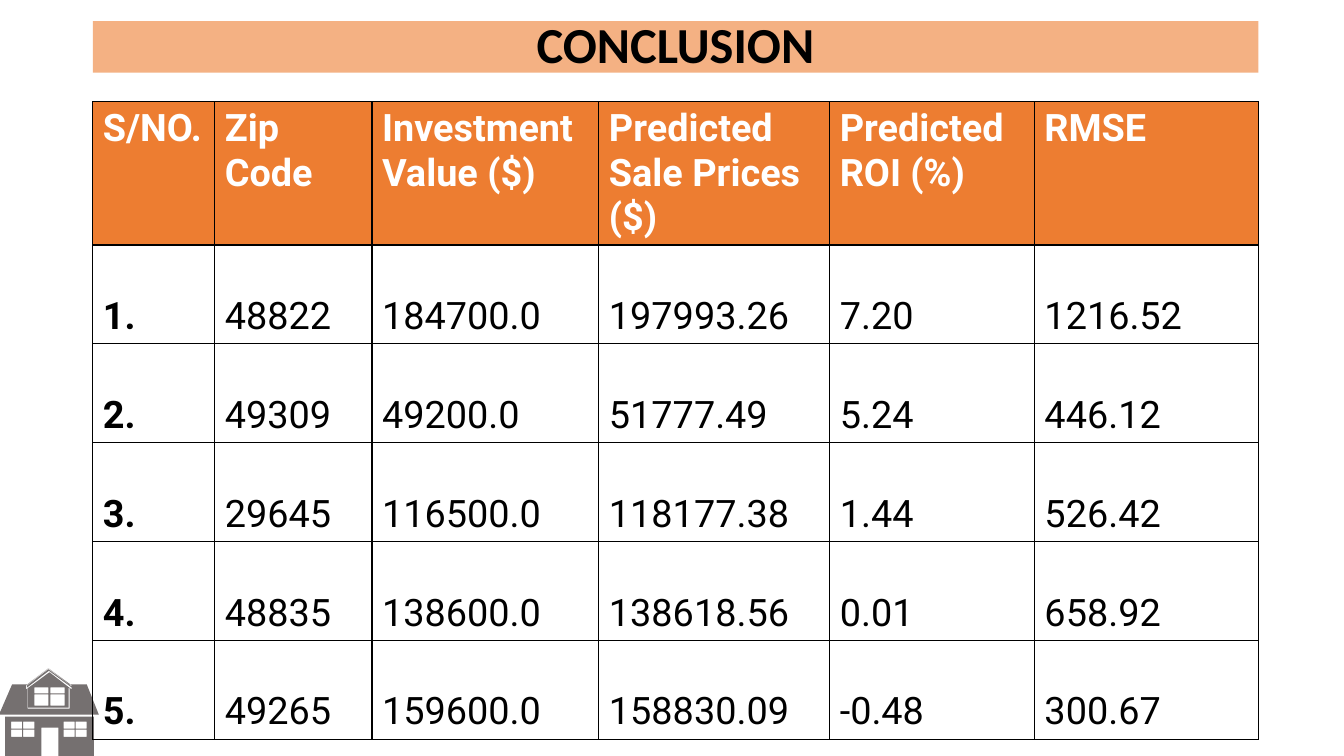
from lxml.etree import SubElement
from pptx import Presentation
from pptx.dml.color import RGBColor
from pptx.enum.text import MSO_ANCHOR as Anchor, MSO_AUTO_SIZE as AutoSize, PP_ALIGN as Align
from pptx.oxml.ns import qn
from pptx.util import Inches, Pt

BLACK = RGBColor(0x00, 0x00, 0x00)
WHITE = RGBColor(0xFF, 0xFF, 0xFF)
PEACH = RGBColor(0xF4, 0xB1, 0x83)
ORANGE = RGBColor(0xED, 0x7D, 0x31)
GREY = RGBColor(0x75, 0x70, 0x70)

COLUMN_WIDTHS = [1.21, 1.56, 2.25, 2.29, 2.03, 2.22]
HEADER_HEIGHT, ROW_HEIGHT = 1.42, 0.98
FORECASTS = [
    ["S/NO.", "Zip Code", "Investment Value ($)", "Predicted Sale Prices ($)",
     "Predicted ROI (%)", "RMSE"],
    ["1.", "48822", "184700.0", "197993.26", "7.20", "1216.52"],
    ["2.", "49309", "49200.0", "51777.49", "5.24", "446.12"],
    ["3.", "29645", "116500.0", "118177.38", "1.44", "526.42"],
    ["4.", "48835", "138600.0", "138618.56", "0.01", "658.92"],
    ["5.", "49265", "159600.0", "158830.09", "-0.48", "300.67"],
]


def pane(left, top, right, bottom):
    """Return the corners of a window pane."""
    return [(left, top), (left, bottom), (right, bottom), (right, top)]


ROOF = [(0.48, 6.63), (0.69, 6.79), (0.86, 6.79), (0.98, 7.09), (-0.01, 7.09),
        (0.12, 6.79), (0.27, 6.79)]
WALLS = [(0.05, 7.11), (0.93, 7.11), (0.93, 7.5), (0.58, 7.5), (0.58, 7.22),
         (0.41, 7.22), (0.41, 7.5), (0.05, 7.5)]
GABLE_GAP = [(0.48, 6.63), (0.26, 6.8), (0.26, 6.84), (0.49, 6.67), (0.71, 6.84),
             (0.71, 6.8)]
GABLE_TRIM = [(0.48, 6.64), (0.71, 6.81), (0.71, 6.82), (0.485, 6.655), (0.27, 6.82),
              (0.27, 6.8)]
DORMER_FRAME = [(0.68, 6.82), (0.68, 7.02), (0.28, 7.02), (0.28, 6.82), (0.275, 6.83),
                (0.275, 7.03), (0.69, 7.03), (0.69, 6.83)]
DORMER_PANES = [pane(left, top, left + 0.14, bottom)
                for left in (0.34, 0.5) for top, bottom in ((6.82, 6.88), (6.89, 7.0))]
WALL_PANES = [pane(left, top, left + 0.11, top + 0.07)
              for left in (0.11, 0.23, 0.63, 0.75) for top in (7.16, 7.24)]
HOUSE = [ROOF, WALLS, GABLE_GAP, GABLE_TRIM, DORMER_FRAME, *DORMER_PANES, *WALL_PANES]


class ConclusionSlide:
    """Hold the fonts and the current slide, and draw its elements."""

    title_font, table_font = "Calibri", "Roboto"

    def __init__(self, deck):
        self.slide = deck.slides.add_slide(deck.slide_layouts[5])

    def style(self, paragraph, name, size, color, bold):
        """Set the font of a whole paragraph."""
        font = paragraph.font
        font.name, font.size, font.bold = name, Pt(size), bold
        font.color.rgb = color

    def title(self, text, left, top, width, height):
        """Fill the title banner."""
        banner = self.slide.shapes.title
        banner.left, banner.top = Inches(left), Inches(top)
        banner.width, banner.height = Inches(width), Inches(height)
        banner.fill.solid()
        banner.fill.fore_color.rgb = PEACH
        frame = banner.text_frame
        frame.text = text
        frame.auto_size = AutoSize.NONE
        frame.vertical_anchor = Anchor.MIDDLE
        heading = frame.paragraphs[0]
        heading.alignment, heading.line_spacing = Align.CENTER, 0.9
        self.style(heading, self.title_font, 36, BLACK, True)

    def silhouette(self, outlines, color):
        """Draw closed outlines as one shape, inner ones cut out."""
        first, *others = outlines
        builder = self.slide.shapes.build_freeform(*first[0], scale=Inches(1))
        builder = self.slide.shapes.build_freeform(
            *[round(value * 1000) for value in first[0]], scale=Inches(1) / 1000)
        for number, outline in enumerate([first, *others]):
            points = [(round(x * 1000), round(y * 1000)) for x, y in outline]
            if number:
                builder.move_to(*points[0])
            builder.add_line_segments(points[1:], close=True)
        house = builder.convert_to_shape()
        house.shadow.inherit = False
        house.fill.solid()
        house.fill.fore_color.rgb = color
        house.line.fill.background()

    def borders(self, cell):
        """Put a thin black line on each side of a cell."""
        properties = cell._tc.get_or_add_tcPr()
        for position, side in enumerate(("a:lnL", "a:lnR", "a:lnT", "a:lnB")):
            line = properties.makeelement(qn(side), {"w": str(Pt(1))})
            fill = SubElement(line, qn("a:solidFill"))
            SubElement(fill, qn("a:srgbClr"), val=str(BLACK))
            properties.insert(position, line)

    def table(self, rows, left, top, widths, heights):
        """Draw a bordered table with an orange header row."""
        table = self.slide.shapes.add_table(
            len(rows), len(widths), Inches(left), Inches(top),
            Inches(sum(widths)), Inches(sum(heights))).table
        for column, width in zip(table.columns, widths):
            column.width = Inches(width)
        for row, height in zip(table.rows, heights):
            row.height = Inches(height)
        for r, values in enumerate(rows):
            for c, value in enumerate(values):
                cell = table.cell(r, c)
                cell.text = value
                entry = cell.text_frame.paragraphs[0]
                if r == 0:
                    cell.fill.solid()
                    cell.fill.fore_color.rgb = ORANGE
                else:
                    cell.fill.background()
                    entry.line_spacing = 2.0
                self.style(entry, self.table_font, 27, BLACK if r else WHITE,
                           r == 0 or c == 0)
                self.borders(cell)


def main():
    """Build the deck and save it."""
    deck = Presentation()
    deck.slide_width, deck.slide_height = Inches(13.33), Inches(7.5)
    conclusion = ConclusionSlide(deck)
    conclusion.title("CONCLUSION", 0.92, 0.21, 11.56, 0.51)
    conclusion.silhouette(HOUSE, GREY)
    heights = [HEADER_HEIGHT] + [ROW_HEIGHT] * (len(FORECASTS) - 1)
    conclusion.table(FORECASTS, 0.92, 1.01, COLUMN_WIDTHS, heights)
    deck.save("out.pptx")


if __name__ == "__main__":
    main()
